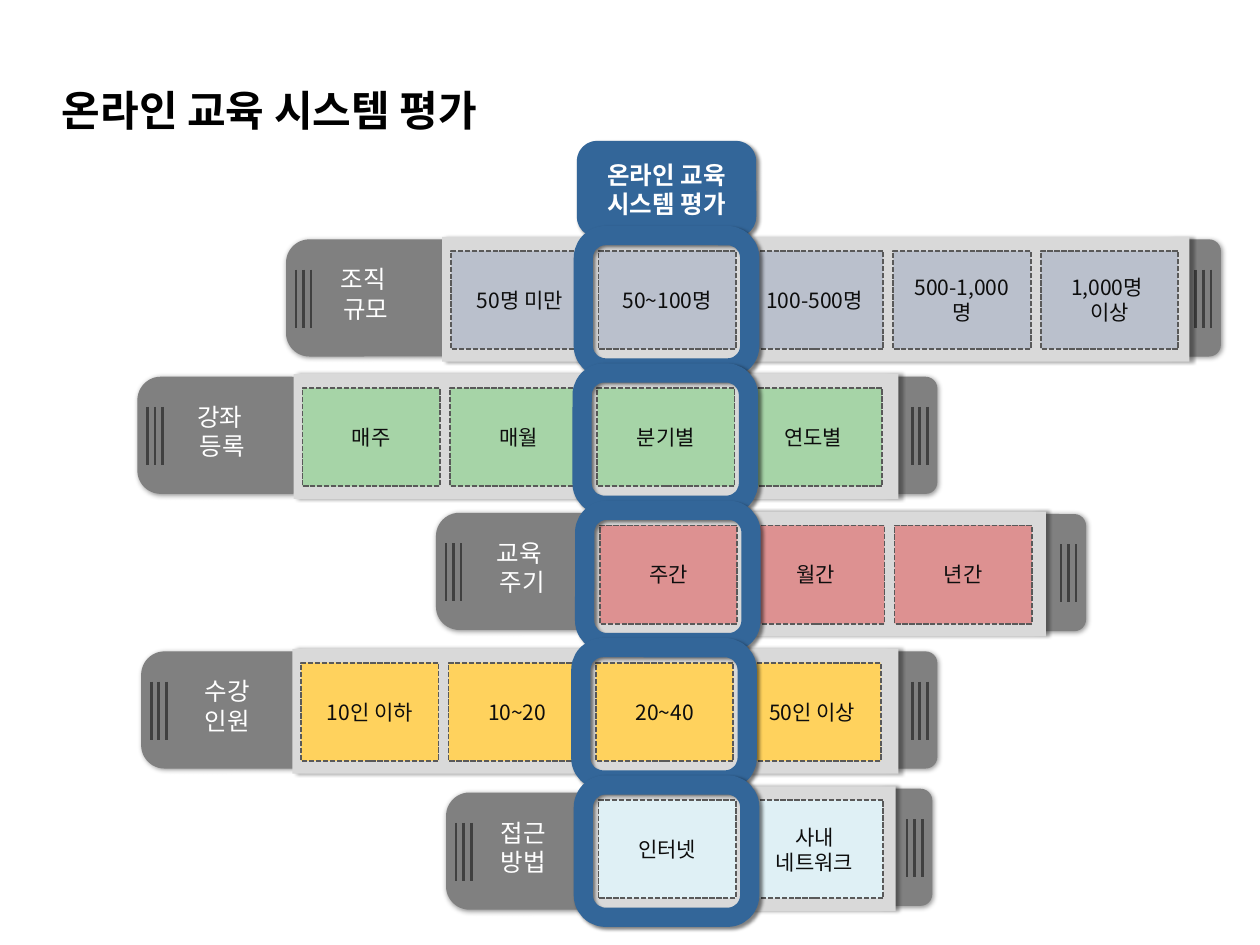
from dataclasses import dataclass
from typing import Optional

import pptx
import pptx.dml.color
import pptx.enum.dml
import pptx.enum.shapes
import pptx.enum.text
import pptx.oxml
import pptx.oxml.ns
import pptx.util
from lxml import etree

RGBColor = pptx.dml.color.RGBColor
Shapes = pptx.enum.shapes.MSO_SHAPE
Align = pptx.enum.text.PP_ALIGN
Anchor = pptx.enum.text.MSO_ANCHOR
qn = pptx.oxml.ns.qn

WHITE = RGBColor(0xFF, 0xFF, 0xFF)
BLACK = RGBColor(0x00, 0x00, 0x00)
INK = RGBColor(0x0D, 0x0D, 0x0D)
HANDLE_GRAY = RGBColor(0x80, 0x80, 0x80)
GRIP_GRAY = RGBColor(0x40, 0x40, 0x40)
TRAY_GRAY = RGBColor(0xD9, 0xD9, 0xD9)
DASH_GRAY = RGBColor(0x59, 0x59, 0x59)
BLUE = RGBColor(0x33, 0x66, 0x99)
SLATE = RGBColor(0xBA, 0xC0, 0xCC)
GREEN = RGBColor(0xA6, 0xD4, 0xA7)
RED = RGBColor(0xDD, 0x91, 0x91)
YELLOW = RGBColor(0xFF, 0xD2, 0x5D)
PALE_BLUE = RGBColor(0xDF, 0xF0, 0xF5)

BODY_FONT = "Noto Sans CJK KR"

# Grid in inches: column 0 is the one framed by the blue rings.
COLUMN_0, COLUMN = 4.75, 1.17
ROW_0, ROW = 1.88, 1.09
CELL_W, CELL_H = 1.09, 0.78
TRAY_H, HANDLE_H = 0.99, 0.93
RING_W, RING_H = 1.32, 1.05


@dataclass
class Box:
    left: float
    top: float
    width: float
    height: float

    def emu(self) -> list:
        return [pptx.util.Inches(v) for v in (self.left, self.top, self.width, self.height)]


@dataclass
class Shadow:
    opacity: int
    blur: float
    distance: float
    angle: int


@dataclass
class Slider:
    label: str
    options: list
    color: RGBColor
    first_column: int
    nudge: float
    tray_right: float
    handle_left: float
    handle_drop: float
    label_left: float
    cap_left: float


HANDLE_SHADOW = Shadow(42, 3, 1, 45)
TRAY_SHADOW = Shadow(34, 2, 2, 0)
RING_SHADOW = Shadow(49, 2, 2, 40)

SLIDERS = [
    Slider("조직 \n규모", ["50명 미만", "50~100명", "100-500명", "500-1,000명", "1,000명 \v이상"],
           SLATE, -1, 0, 9.44, 2.27, 0.02, 2.36, 9.22),
    Slider("강좌 \v등록", ["매주", "매월", "분기별", "연도별"],
           GREEN, -2, -0.01, 7.13, 1.09, 0.02, 1.22, 6.97),
    Slider("교육 \n주기", ["주간", "월간", "년간"],
           RED, 0, 0.01, 8.3, 3.46, 0.01, 3.6, 8.15),
    Slider("수강\n인원", ["10인 이하", "10~20", "20~40", "50인 이상"],
           YELLOW, -2, -0.02, 7.13, 1.12, 0.02, 1.26, 6.97),
    Slider("접근\n방법", ["인터넷", "사내\v네트워크"],
           PALE_BLUE, 0, 0, 7.11, 3.54, 0.05, 3.61, 6.93),
]


def set_shadow(shape, shadow: Shadow) -> None:
    effects = shape._element.spPr.find(qn("a:effectLst"))
    outer = etree.SubElement(
        effects, qn("a:outerShdw"),
        blurRad=str(pptx.util.Pt(shadow.blur)), dist=str(pptx.util.Pt(shadow.distance)),
        dir=str(shadow.angle * 60000), algn="ctr", rotWithShape="0")
    color = etree.SubElement(outer, qn("a:srgbClr"), val="000000")
    etree.SubElement(color, qn("a:alpha"), val=str(shadow.opacity * 1000))


def write(shape, text: str, size: float, color: RGBColor, bold: bool = False,
          align=Align.CENTER, anchor=Anchor.MIDDLE, latin: str = BODY_FONT) -> None:
    frame = shape.text_frame
    frame.text = text
    for name, value in {"word_wrap": True, "vertical_anchor": anchor}.items():
        setattr(frame, name, value)
    formats = {"size": pptx.util.Pt(size), "bold": bold, "name": latin}
    for paragraph in frame.paragraphs:
        paragraph.alignment = align
        for run in paragraph.runs:
            for name, value in formats.items():
                setattr(run.font, name, value)
            run.font.color.rgb = color
            run.font._element.find(qn("a:latin")).addnext(
                pptx.oxml.parse_xml(f'<a:ea {pptx.oxml.ns.nsdecls("a")} typeface="{BODY_FONT}"/>'))


def add_block(shapes, kind, box: Box, fill: Optional[RGBColor] = None,
              line: Optional[RGBColor] = None, weight: float = 1,
              shadow: Optional[Shadow] = None, corner: Optional[float] = None):
    block = shapes.add_shape(kind, *box.emu())
    block.shadow.inherit = False
    if fill is None:
        block.fill.background()
    else:
        block.fill.solid()
        block.fill.fore_color.rgb = fill
    if line is None:
        block.line.fill.background()
    else:
        block.line.color.rgb = line
        block.line.width = pptx.util.Pt(weight)
    if shadow:
        set_shadow(block, shadow)
    if corner is not None:
        block.adjustments[0] = corner
    return block


def add_handle(shapes, box: Box, grip_inset: float) -> None:
    """Draw a rounded grey end with three vertical grip lines."""
    add_block(shapes, Shapes.ROUNDED_RECTANGLE, box, HANDLE_GRAY,
              shadow=HANDLE_SHADOW, corner=0.2)
    for index in range(3):
        x = pptx.util.Inches(box.left + grip_inset + 0.06 * index)
        grip = shapes.add_connector(
            pptx.enum.shapes.MSO_CONNECTOR.STRAIGHT, x, pptx.util.Inches(box.top + 0.24),
            x, pptx.util.Inches(box.top + 0.7))
        grip.line.color.rgb = GRIP_GRAY
        grip.line.width = pptx.util.Pt(1.5)
        etree.SubElement(grip._element.spPr, qn("a:effectLst"))


def add_slider(slide, slider: Slider, row: int) -> None:
    shapes = slide.shapes.add_group_shape().shapes
    top = ROW_0 + ROW * row
    first = COLUMN_0 + COLUMN * slider.first_column + slider.nudge
    tray_left = first - 0.07
    handle_top = top + slider.handle_drop

    add_handle(shapes, Box(slider.handle_left, handle_top, 1.41, HANDLE_H), 0.08)
    add_handle(shapes, Box(slider.cap_left, top + 0.02, 0.47, HANDLE_H), 0.27)
    add_block(shapes, Shapes.RECTANGLE,
              Box(tray_left, top, slider.tray_right - tray_left, TRAY_H),
              TRAY_GRAY, shadow=TRAY_SHADOW)
    for index, option in enumerate(slider.options):
        cell = add_block(shapes, Shapes.RECTANGLE,
                         Box(first + COLUMN * index, top + 0.11, CELL_W, CELL_H),
                         slider.color, DASH_GRAY)
        cell.line.dash_style = pptx.enum.dml.MSO_LINE.SQUARE_DOT
        write(cell, option, 12, INK)
    label = shapes.add_textbox(*Box(slider.label_left, handle_top + 0.15, CELL_W, 0.57).emu())
    write(label, slider.label, 14, WHITE, anchor=Anchor.TOP)


def add_rings(slide) -> None:
    """Draw the blue heading and the ring around the chosen option of each row."""
    shapes = slide.shapes.add_group_shape().shapes
    left = COLUMN_0 - 0.12
    heading = add_block(shapes, Shapes.ROUNDED_RECTANGLE, Box(left, 1.17, RING_W, 0.66),
                        BLUE, BLUE, 7.5, RING_SHADOW)
    write(heading, "온라인 교육\v시스템 평가", 14, WHITE, bold=True)
    for row, slider in enumerate(SLIDERS):
        add_block(shapes, Shapes.ROUNDED_RECTANGLE,
                  Box(left + slider.nudge, ROW_0 - 0.01 + ROW * row, RING_W, RING_H),
                  line=BLUE, weight=11, shadow=RING_SHADOW)


def main() -> None:
    deck = pptx.Presentation()
    deck.slide_width, deck.slide_height = pptx.util.Inches(10), pptx.util.Inches(7.5)
    slide = deck.slides.add_slide(deck.slide_layouts[5])
    title = slide.shapes.title
    title.left, title.top, title.width, title.height = Box(0.39, 0.62, 4.06, 0.5).emu()
    write(title, "온라인 교육 시스템 평가", 24, BLACK, bold=True, align=Align.LEFT, latin="Lato")
    for row, slider in enumerate(SLIDERS):
        add_slider(slide, slider, row)
    add_rings(slide)
    deck.save("out.pptx")


if __name__ == "__main__":
    main()
